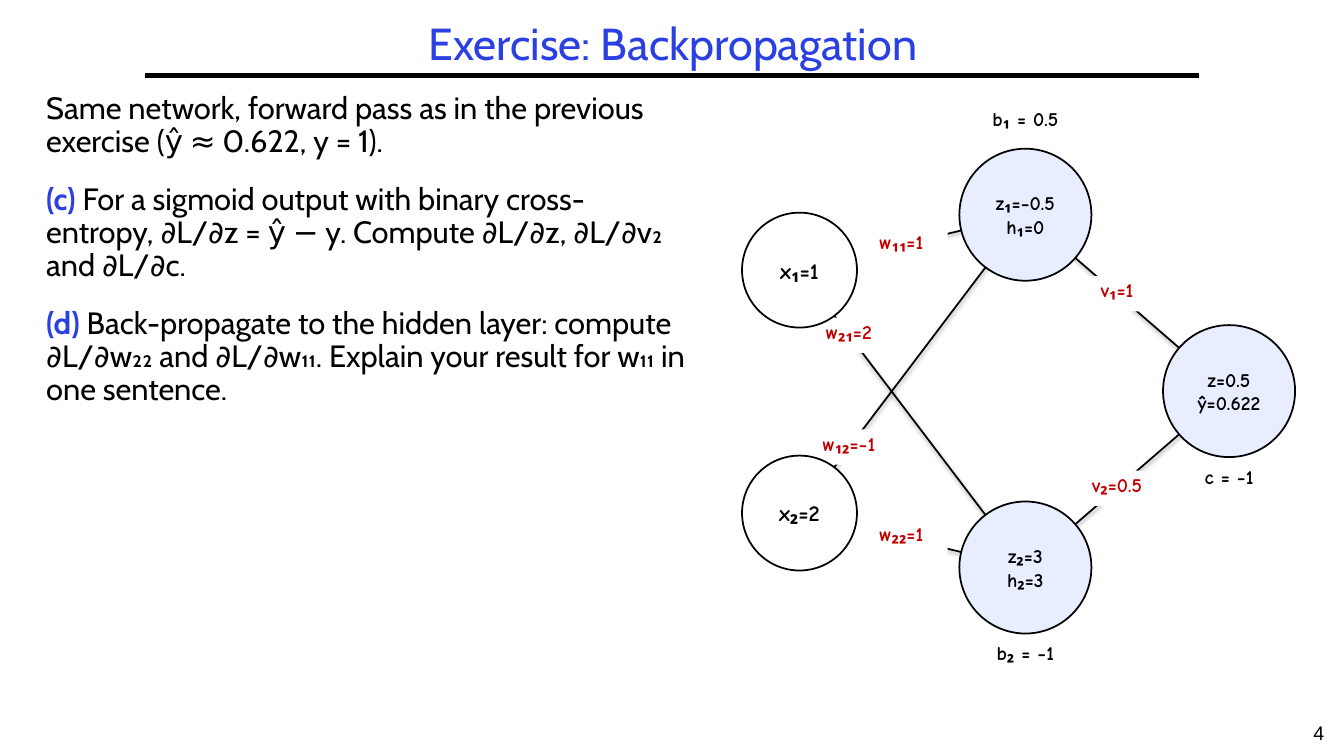
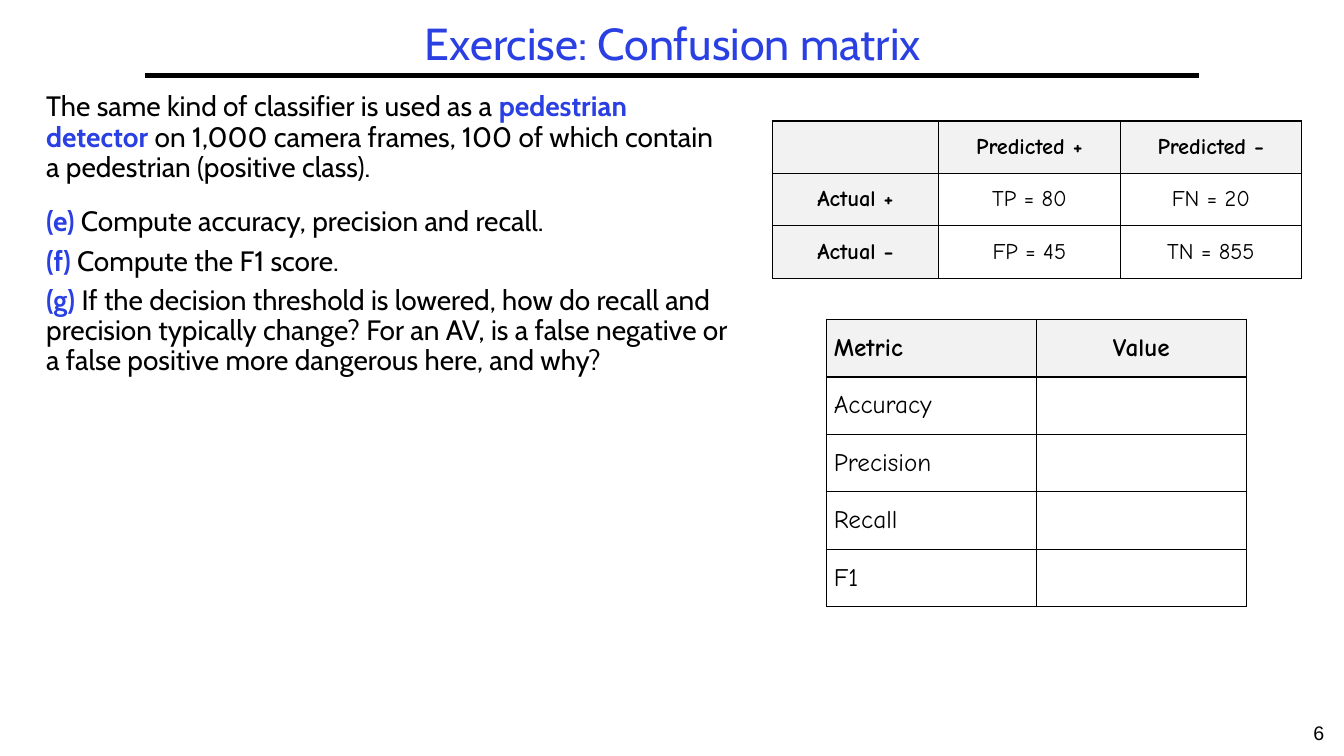
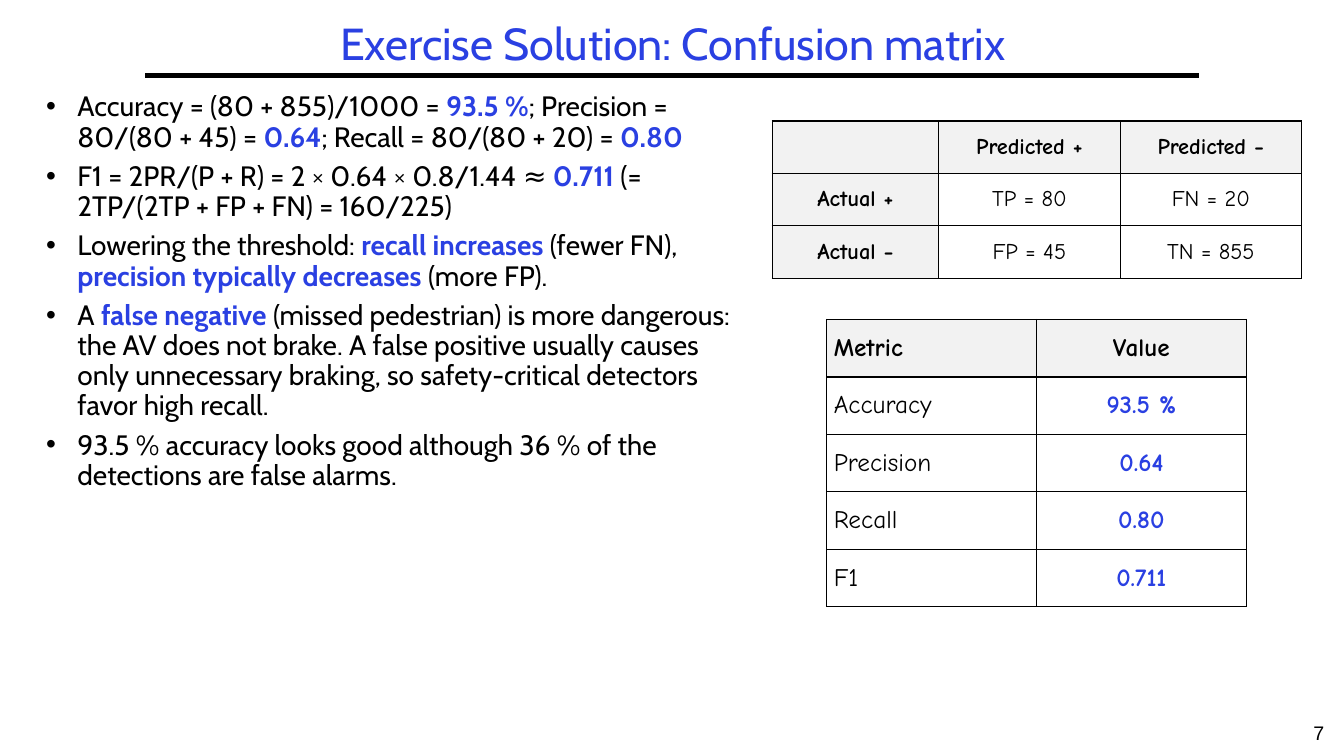
from dataclasses import dataclass
from typing import Any

from lxml import etree
from pptx import Presentation
from pptx.dml.color import RGBColor
from pptx.enum.shapes import MSO_CONNECTOR, MSO_SHAPE
from pptx.enum.text import MSO_ANCHOR, MSO_AUTO_SIZE, PP_ALIGN
from pptx.oxml.ns import qn
from pptx.slide import Slide
from pptx.text.text import TextFrame
from pptx.util import Emu, Pt

# Shared style
BLUE = RGBColor(0x2A, 0x40, 0xE2)
BLACK = RGBColor(0, 0, 0)
WHITE = RGBColor(255, 255, 255)
RED = RGBColor(0xC0, 0, 0)
PALE_BLUE = RGBColor(0xE8, 0xEE, 0xFF)
HEADER_GREY = RGBColor(0xF2, 0xF2, 0xF2)
TEXT_FONT, FIGURE_FONT, NUMBER_FONT = "Cabin", "Comic Neue", "Arial"

LEFT, CENTER = PP_ALIGN.LEFT, PP_ALIGN.CENTER
TOP, MIDDLE = MSO_ANCHOR.TOP, MSO_ANCHOR.MIDDLE
NO_FIT = MSO_AUTO_SIZE.NONE
STRAIGHT = MSO_CONNECTOR.STRAIGHT
ELLIPSE, RECTANGLE = MSO_SHAPE.OVAL, MSO_SHAPE.RECTANGLE

EMU_PER_PX = 9144  # 100 px to the inch
TITLE_ONLY = 5
LINE_SPACING = 0.9
NEXT_GAP, BLOCK_GAP = 6.4, 17.4  # points before a paragraph
BULLET_INDENT = 31
NODE_SIZE, INPUT_SIZE = 131, 114


@dataclass(frozen=True)
class Paragraph:
    text: str  # parts between ** are highlighted
    gap: float = NEXT_GAP


@dataclass(frozen=True)
class Node:
    x: int
    y: int
    lines: tuple[str, ...]
    size: int = NODE_SIZE
    fill: RGBColor = PALE_BLUE
    font_size: int = 14
    bias: str = ""
    bias_offset: int = 71


@dataclass(frozen=True)
class Edge:
    start: str
    end: str
    weight: str
    left: int
    top: int


@dataclass(frozen=True)
class Grid:
    left: int
    top: int
    columns: tuple[int, ...]
    row_height: int
    font_size: int
    first_column_header: bool
    first_column_align: PP_ALIGN


NODES = {
    "x1": Node(793, 268, ("x₁=1",), INPUT_SIZE, WHITE, 16),
    "x2": Node(793, 509, ("x₂=2",), INPUT_SIZE, WHITE, 16),
    "h1": Node(1017, 213, ("z₁=−0.5", "h₁=0"), bias="b₁ = 0.5", bias_offset=-109),
    "h2": Node(1017, 563, ("z₂=3", "h₂=3"), bias="b₂ = −1"),
    "out": Node(1219, 388, ("z=0.5", "ŷ=0.622"), bias="c = −1"),
}
EDGES = (
    Edge("x1", "h1", "w₁₁=1", 848, 226),
    Edge("x2", "h1", "w₁₂=−1", 796, 426),
    Edge("x1", "h2", "w₂₁=2", 796, 315),
    Edge("x2", "h2", "w₂₂=1", 848, 516),
    Edge("h1", "out", "v₁=1", 1062, 274),
    Edge("h2", "out", "v₂=0.5", 1062, 467),
)
MATRIX_GRID = Grid(766, 120, (165, 180, 180), 52, 16, True, CENTER)
METRIC_GRID = Grid(820, 317, (208, 208), 57, 18, False, LEFT)
MATRIX_ROWS = (
    ("", "Predicted +", "Predicted −"),
    ("Actual +", "TP = 80", "FN = 20"),
    ("Actual −", "FP = 45", "TN = 855"),
)
METRICS = {"Accuracy": "93.5 %", "Precision": "0.64", "Recall": "0.80", "F1": "0.711"}

BACKPROPAGATION = (
    Paragraph("Same network, forward pass as in the previous exercise (ŷ ≈ 0.622, y = 1)."),
    Paragraph("**(c)** For a sigmoid output with binary cross-entropy, ∂L/∂z = ŷ − y. "
              "Compute ∂L/∂z, ∂L/∂v₂ and ∂L/∂c.", BLOCK_GAP),
    Paragraph("**(d)** Back-propagate to the hidden layer: compute ∂L/∂w₂₂ and ∂L/∂w₁₁. "
              "Explain your result for w₁₁ in one sentence.", BLOCK_GAP),
)
QUESTIONS = (
    Paragraph("The same kind of classifier is used as a **pedestrian detector** on 1,000 "
              "camera frames, 100 of which contain a pedestrian (positive class)."),
    Paragraph("**(e)** Compute accuracy, precision and recall.", BLOCK_GAP),
    Paragraph("**(f)** Compute the F1 score."),
    Paragraph("**(g)** If the decision threshold is lowered, how do recall and precision "
              "typically change? For an AV, is a false negative or a false positive more "
              "dangerous here, and why?"),
)
SOLUTIONS = (
    Paragraph("Accuracy = (80 + 855)/1000 = **93.5 %**; Precision = 80/(80 + 45) = **0.64**; "
              "Recall = 80/(80 + 20) = **0.80**"),
    Paragraph("F1 = 2PR/(P + R) = 2 × 0.64 × 0.8/1.44 ≈ **0.711** "
              "(= 2TP/(2TP + FP + FN) = 160/225)"),
    Paragraph("Lowering the threshold: **recall increases** (fewer FN), "
              "**precision typically decreases** (more FP)."),
    Paragraph("A **false negative** (missed pedestrian) is more dangerous: the AV does not "
              "brake. A false positive usually causes only unnecessary braking, so "
              "safety-critical detectors favor high recall."),
    Paragraph("93.5 % accuracy looks good although 36 % of the detections are false alarms."),
)


# Helpers
def px(length: float) -> Emu:
    return Emu(round(length * EMU_PER_PX))


def apply(target: Any, formats: dict[str, Any]) -> None:
    for name, value in formats.items():
        setattr(target, name, value)


def add_span(para: Any, text: str, font: str, size: int, color: RGBColor, bold: bool) -> None:
    span = para.add_run()
    span.text = text
    apply(span.font, {"name": font, "size": Pt(size), "bold": bold})
    span.font.color.rgb = color


def set_frame(frame: TextFrame, anchor: MSO_ANCHOR, across: int, down: int) -> None:
    apply(frame, {
        "word_wrap": True, "auto_size": NO_FIT, "vertical_anchor": anchor,
        "margin_left": px(across), "margin_right": px(across),
        "margin_top": px(down), "margin_bottom": px(down),
    })


def write_lines(frame: TextFrame, lines: tuple[str, ...], size: int, color: RGBColor = BLACK,
                font: str = FIGURE_FONT, bold: bool = True) -> None:
    for index, line in enumerate(lines):
        para = frame.add_paragraph() if index else frame.paragraphs[0]
        para.alignment = CENTER
        add_span(para, line, font, size, color, bold)


def add_text(page: Slide, left: float, top: float, width: int, height: int) -> TextFrame:
    return page.shapes.add_textbox(px(left), px(top), px(width), px(height)).text_frame


def add_line(page: Slide, start: tuple[int, int], end: tuple[int, int],
             width: float, shadow: bool = False) -> None:
    line = page.shapes.add_connector(STRAIGHT, *map(px, start + end))
    line.line.color.rgb = BLACK
    line.line.width = Pt(width)
    effects = etree.SubElement(line.element.spPr, qn("a:effectLst"))
    if shadow:
        outer = etree.SubElement(effects, qn("a:outerShdw"), blurRad=str(Pt(3.1)),
                                 dist=str(Pt(1.6)), dir="5400000", rotWithShape="0")
        tint = etree.SubElement(outer, qn("a:srgbClr"), val=str(BLACK))
        etree.SubElement(tint, qn("a:alpha"), val="38000")


def add_figure(page: Slide, preset: MSO_SHAPE, left: float, top: float, width: int,
               height: int, fill: RGBColor, outlined: bool) -> TextFrame:
    shape = page.shapes.add_shape(preset, px(left), px(top), px(width), px(height))
    shape.shadow.inherit = False
    shape.fill.solid()
    shape.fill.fore_color.rgb = fill
    if outlined:
        shape.line.color.rgb = BLACK
        shape.line.width = Pt(1.25)
    else:
        shape.line.fill.background()
    return shape.text_frame


# Slide parts
def add_page(deck: Any, title: str, number: int) -> Slide:
    page = deck.slides.add_slide(deck.slide_layouts[TITLE_ONLY])
    box = page.shapes.title
    apply(box, {"left": px(144), "top": px(17), "width": px(1047), "height": px(58)})
    set_frame(box.text_frame, MIDDLE, 10, 5)
    write_lines(box.text_frame, (title,), 32, BLUE, TEXT_FONT, False)
    box.text_frame.paragraphs[0].line_spacing = LINE_SPACING
    add_line(page, (144, 75), (1189, 75), 3)
    frame = add_text(page, 1283, 710, 50, 40)
    set_frame(frame, TOP, 10, 5)
    write_lines(frame, (str(number),), 14, font=NUMBER_FONT, bold=False)
    return page


def add_body(page: Slide, paragraphs: tuple[Paragraph, ...], width: int, size: int,
             bulleted: bool = False) -> None:
    frame = add_text(page, 36, 87, width, 601)
    set_frame(frame, TOP, 10, 5)
    for index, paragraph in enumerate(paragraphs):
        para = frame.add_paragraph() if index else frame.paragraphs[0]
        apply(para, {"alignment": LEFT, "line_spacing": LINE_SPACING,
                     "space_before": Pt(paragraph.gap if index else 0)})
        if bulleted:
            properties = para._p.get_or_add_pPr()
            properties.set("marL", str(px(BULLET_INDENT)))
            properties.set("indent", str(px(-BULLET_INDENT)))
            etree.SubElement(properties, qn("a:buFont"), typeface=NUMBER_FONT)
            etree.SubElement(properties, qn("a:buChar"), char="•")
        for position, text in enumerate(paragraph.text.split("**")):
            strong = position % 2 == 1
            if text:
                add_span(para, text, TEXT_FONT, size, BLUE if strong else BLACK, strong)


def add_network(page: Slide) -> None:
    for edge in EDGES:
        start, end = NODES[edge.start], NODES[edge.end]
        add_line(page, (start.x, start.y), (end.x, end.y), 1.25, shadow=True)
    for edge in EDGES:
        frame = add_figure(page, RECTANGLE, edge.left, edge.top, 92, 35, WHITE, False)
        set_frame(frame, TOP, 4, 2)
        write_lines(frame, (edge.weight,), 14, RED)
    for node in NODES.values():
        left, top = node.x - node.size / 2, node.y - node.size / 2
        frame = add_figure(page, ELLIPSE, left, top, node.size, node.size, node.fill, True)
        set_frame(frame, MIDDLE, 0, 0)
        write_lines(frame, node.lines, node.font_size)
        if node.bias:
            frame = add_text(page, left, node.y + node.bias_offset, node.size, 33)
            set_frame(frame, TOP, 4, 2)
            write_lines(frame, (node.bias,), 14)


def add_borders(cell: Any) -> None:
    properties = cell._tc.get_or_add_tcPr()
    for index, side in enumerate(("lnL", "lnR", "lnT", "lnB")):
        border = etree.Element(qn(f"a:{side}"), w=str(Pt(1)))
        fill = etree.SubElement(border, qn("a:solidFill"))
        etree.SubElement(fill, qn("a:srgbClr"), val=str(BLACK))
        properties.insert(index, border)


def add_grid(page: Slide, grid: Grid, rows: tuple[tuple[str, ...], ...],
             highlight: bool = False) -> None:
    table = page.shapes.add_table(
        len(rows), len(grid.columns), px(grid.left), px(grid.top),
        px(sum(grid.columns)), px(grid.row_height * len(rows))).table
    apply(table, {"first_row": False, "horz_banding": False})
    for column, width in zip(table.columns, grid.columns):
        column.width = px(width)
    for row_index, texts in enumerate(rows):
        table.rows[row_index].height = px(grid.row_height)
        for column_index, text in enumerate(texts):
            cell = table.cell(row_index, column_index)
            first = column_index == 0
            header = row_index == 0 or (first and grid.first_column_header)
            answer = highlight and not header and not first
            apply(cell, {"vertical_anchor": MIDDLE, "margin_left": px(7),
                         "margin_right": px(7), "margin_top": px(3), "margin_bottom": px(3)})
            cell.fill.solid()
            cell.fill.fore_color.rgb = HEADER_GREY if header else WHITE
            add_borders(cell)
            para = cell.text_frame.paragraphs[0]
            para.alignment = grid.first_column_align if first else CENTER
            if text:
                add_span(para, text, FIGURE_FONT, grid.font_size,
                         BLUE if answer else BLACK, header or answer)


def add_confusion_tables(page: Slide, solved: bool) -> None:
    metrics = tuple((name, value if solved else "") for name, value in METRICS.items())
    add_grid(page, MATRIX_GRID, MATRIX_ROWS)
    add_grid(page, METRIC_GRID, (("Metric", "Value"),) + metrics, highlight=solved)


def main() -> None:
    deck = Presentation()
    apply(deck, {"slide_width": px(1333), "slide_height": px(750)})

    page = add_page(deck, "Exercise: Backpropagation", 4)
    add_body(page, BACKPROPAGATION, 656, 22)
    add_network(page)

    page = add_page(deck, "Exercise: Confusion matrix", 6)
    add_body(page, QUESTIONS, 700, 20)
    add_confusion_tables(page, solved=False)

    page = add_page(deck, "Exercise Solution: Confusion matrix", 7)
    add_body(page, SOLUTIONS, 700, 20, bulleted=True)
    add_confusion_tables(page, solved=True)

    deck.save("out.pptx")


if __name__ == "__main__":
    main()
